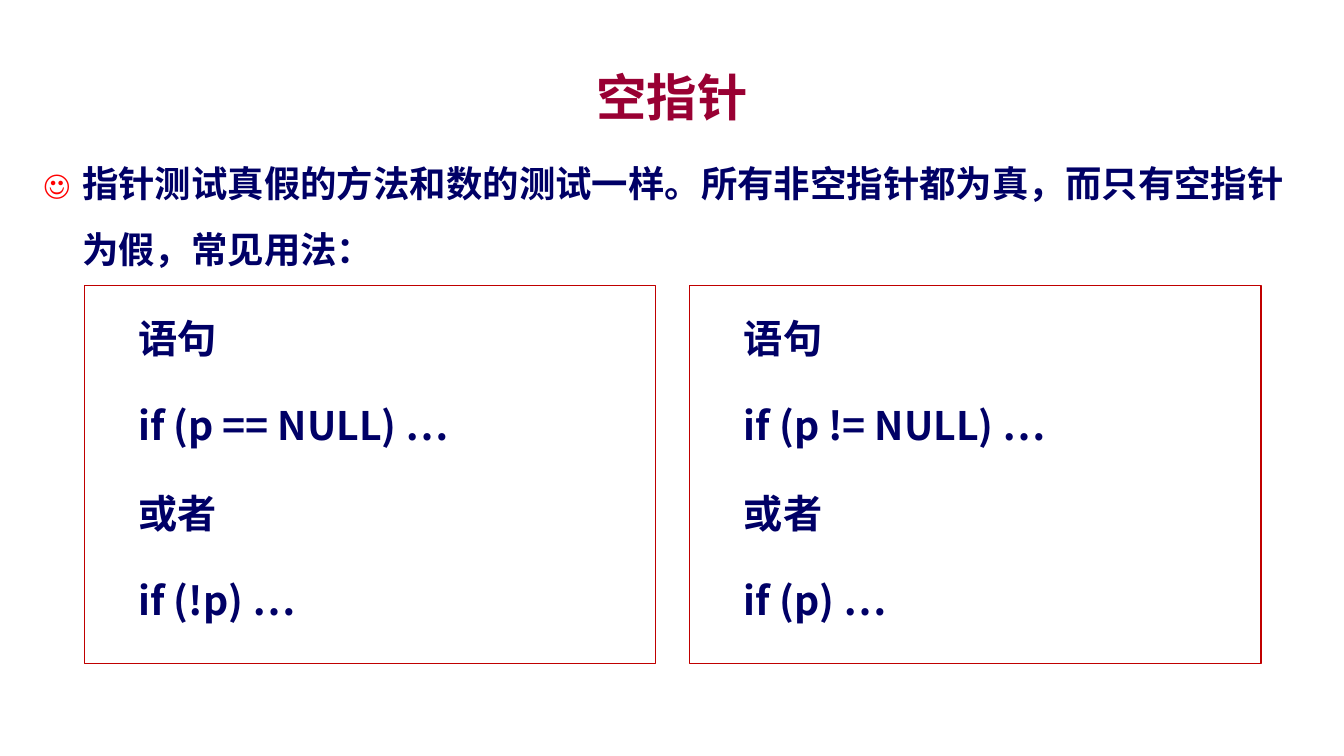
from dataclasses import dataclass
from lxml import etree
from pptx import Presentation
from pptx.dml.color import RGBColor
from pptx.enum.shapes import MSO_SHAPE
from pptx.enum.text import MSO_ANCHOR, PP_ALIGN
from pptx.oxml.ns import qn
from pptx.util import Cm, Pt

RECT = MSO_SHAPE.RECTANGLE
TOP, MIDDLE = MSO_ANCHOR.TOP, MSO_ANCHOR.MIDDLE
LEFT, CENTER = PP_ALIGN.LEFT, PP_ALIGN.CENTER
FONT = "Noto Sans CJK SC"
WINE = RGBColor(0x99, 0x00, 0x33)
NAVY = RGBColor(0x00, 0x00, 0x66)
RED = RGBColor(0xC0, 0x00, 0x00)
SMILE = RGBColor(0xFF, 0x00, 0x00)


@dataclass
class Panel:
    left: float
    lines: list[str]


PANELS = [
    Panel(2.12, ["语句", "if (p == NULL) …", "或者", "if (!p) …"]),
    Panel(17.38, ["语句", "if (p != NULL) …", "或者", "if (p) …"]),
]


def place(shape, left: float, top: float, width: float, height: float) -> None:
    shape.left, shape.top = Cm(left), Cm(top)
    shape.width, shape.height = Cm(width), Cm(height)


def write(frame, lines: list[str], size: int, color: RGBColor = NAVY,
          align=LEFT, anchor=TOP, spacing: float = 1.5, gap: int = 6,
          margin: float = 0, indent: float = 0, bullet: str = "") -> None:
    frame.word_wrap = True
    frame.vertical_anchor = anchor
    for i, line in enumerate(lines):
        par = frame.paragraphs[0] if i == 0 else frame.add_paragraph()
        par.alignment = align
        par.line_spacing = spacing
        par.space_before = par.space_after = Pt(gap)
        run = par.add_run()
        run.text = line
        run.font.name, run.font.size, run.font.bold = FONT, Pt(size), True
        run.font.color.rgb = color
        # East Asian glyphs take their font from a separate element
        etree.SubElement(run.font._element, qn("a:ea"), typeface=FONT)
        props = par._p.get_or_add_pPr()
        props.set("marL", str(Cm(margin)))
        props.set("indent", str(Cm(indent)))
        if bullet:
            tint = etree.SubElement(props, qn("a:buClr"))
            etree.SubElement(tint, qn("a:srgbClr"), val=str(SMILE))
            etree.SubElement(props, qn("a:buSzPct"), val="80000")
            etree.SubElement(props, qn("a:buFont"), typeface=FONT)
            etree.SubElement(props, qn("a:buChar"), char=bullet)
        else:
            etree.SubElement(props, qn("a:buNone"))


def draw(slide, panel: Panel) -> None:
    box = slide.shapes.add_shape(RECT, 0, 0, 0, 0)
    place(box, panel.left, 7.2, 14.4, 9.53)
    box.shadow.inherit = False
    box.fill.background()
    box.line.color.rgb = RED
    box.line.width = Pt(0.75)
    write(box.text_frame, panel.lines, 28, margin=1.12)


def main() -> None:
    deck = Presentation()
    deck.slide_width, deck.slide_height = Cm(33.87), Cm(19.05)
    slide = deck.slides.add_slide(deck.slide_layouts[5])

    # Title
    title = slide.shapes.title
    place(title, 2.54, 1.48, 28.79, 1.9)
    write(title.text_frame, ["空指针"], 36, WINE, CENTER, MIDDLE, 1, 0)

    # Bulleted statement
    body = slide.shapes.add_textbox(0, 0, 0, 0)
    place(body, 0.85, 3.39, 32.17, 14.82)
    write(body.text_frame,
          ["指针测试真假的方法和数的测试一样。所有非空指针都为真，而只有空指针为假，常见用法："],
          26, margin=0.97, indent=-0.97, bullet="☺")

    # Two code panels
    for panel in PANELS:
        draw(slide, panel)

    deck.save("out.pptx")


if __name__ == "__main__":
    main()
